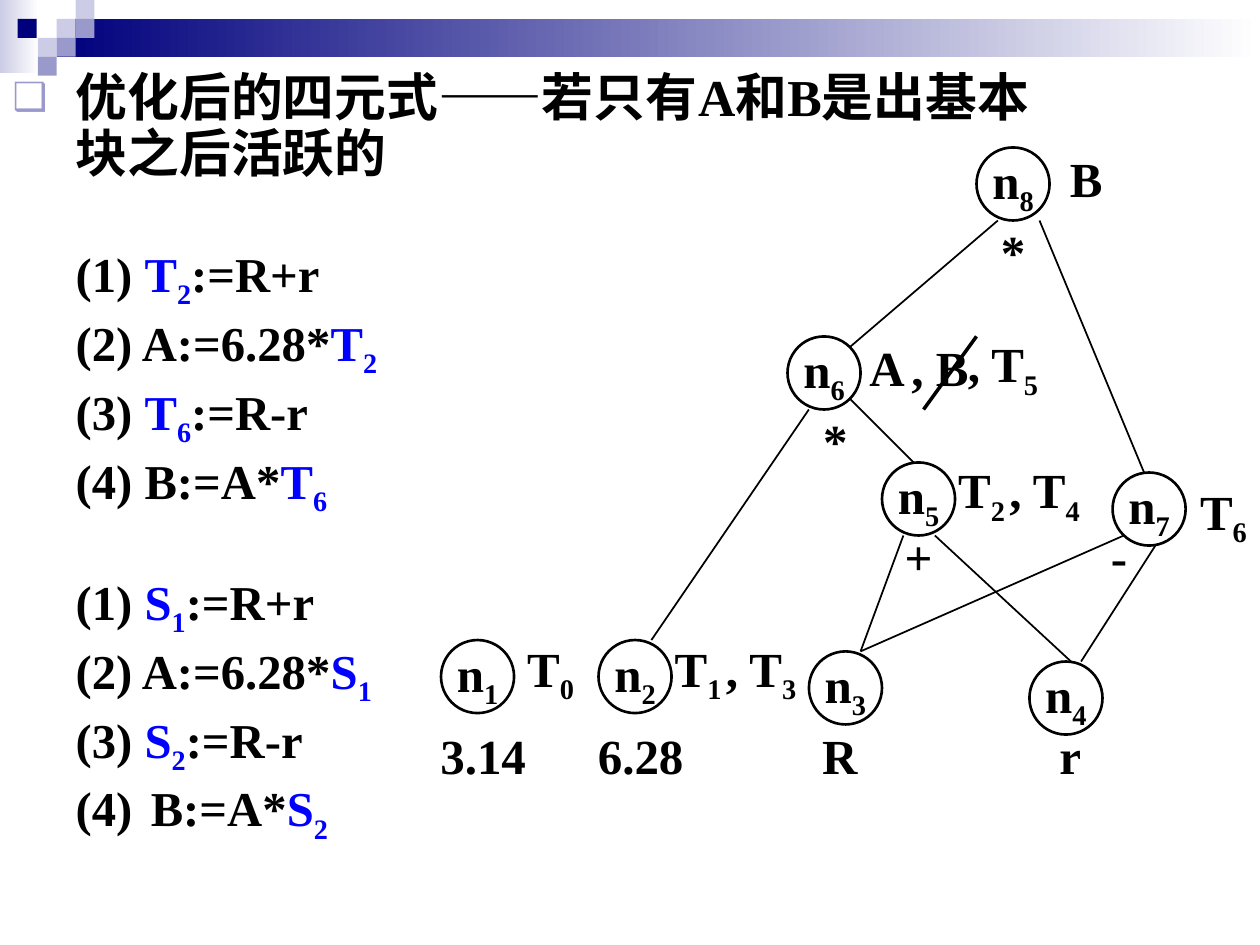
from itertools import cycle
from lxml import etree
from pptx import Presentation
from pptx.dml.color import RGBColor
from pptx.enum.shapes import MSO_CONNECTOR, MSO_SHAPE
from pptx.enum.text import MSO_ANCHOR, MSO_AUTO_SIZE, PP_ALIGN
from pptx.oxml.ns import qn
from pptx.util import Inches, Pt

RECT = MSO_SHAPE.RECTANGLE
OVAL = MSO_SHAPE.OVAL
LINE = MSO_CONNECTOR.STRAIGHT
MIDDLE = MSO_ANCHOR.MIDDLE
TOP = MSO_ANCHOR.TOP
CENTER = PP_ALIGN.CENTER
LEFT = PP_ALIGN.LEFT
FIXED = MSO_AUTO_SIZE.NONE

HEX = {"ink": "000000", "var": "0000FF", "navy": "00007D",
       "mid": "9999CC", "pale": "CCCCE6", "white": "FFFFFF"}
FONT = {"name": "Times New Roman", "bold": True}
LABEL = {"word_wrap": False, "vertical_anchor": MIDDLE, "auto_size": FIXED}
BODY = {"word_wrap": True, "vertical_anchor": TOP, "auto_size": FIXED}
PARA = {"alignment": LEFT, "line_spacing": 0.9}
PLAIN, VAR, SUB = ("ink", 0), ("var", 0), ("var", -25000)
LOW = ("ink", -25000)

TITLE = "优化后的四元式——若只有A和B是出基本块之后活跃的"
CODE = [
    ["(1) |T|2|:=R+r", "(2) A:=6.28*|T|2", "(3) |T|6|:=R-r", "(4) B:=A*|T|6"],
    ["(1) |S|1|:=R+r", "(2) A:=6.28*|S|1", "(3) |S|2|:=R-r", "(4)\t B:=A*|S|2"],
]
TILES = [(0.45, 0.15, "pale"), (0.6, 0, "pale"), (0.6, 0.15, "mid"),
         (0.3, 0.3, "pale"), (0.14, 0.15, "navy"), (0.45, 0.3, "mid"),
         (0.3, 0.45, "mid")]
NODES = [(3.5, 5.08), (4.75, 5.08), (6.42, 5.17), (8.17, 5.25),
         (7, 3.67), (6.25, 2.67), (8.83, 3.75), (7.75, 1.17)]
EDGES = [(7.17, 4.25, 6.83, 5.17), (7.42, 4.25, 8.5, 5.25),
         (6.42, 3.25, 5.17, 5.08), (6.75, 3.17, 7.25, 3.67),
         (6.83, 5.17, 8.92, 4.25), (8.58, 5.25, 9.17, 4.33),
         (7.92, 1.75, 6.75, 2.75), (8.25, 1.75, 9.08, 3.75)]
STRIKE = (7.75, 2.67, 7.33, 3.25)
LEAVES = [("3.14", 3.42, 5.83), ("6.28", 4.67, 5.83),
          ("R", 6.25, 5.83), ("r", 8.08, 5.83)]
SIGNS = [("+", 7.08, 4.25), ("*", 6.42, 3.33),
         ("-", 8.67, 4.25), ("*", 7.83, 1.83)]
NAMES = [("T|0", 4.08, 5.17), ("T|1", 5.25, 5.17), (", T|3", 5.75, 5.17),
         ("T|2", 7.5, 3.75), (", T|4", 8, 3.75),
         ("A", 6.75, 2.75), (", B", 7.17, 2.75), (", T|5", 7.67, 2.75),
         ("B", 8.33, 1.25), ("T|6", 9.42, 3.92)]


def rgb(key):
    return RGBColor.from_string(HEX[key])


def apply(obj, fmt):
    for key, val in fmt.items():
        setattr(obj, key, val)


def write(para, text, size, looks):
    for part, (hue, base) in zip(text.split("|"), cycle(looks)):
        run = para.add_run()
        run.text = part
        apply(run.font, {**FONT, "size": Pt(size)})
        run.font.color.rgb = rgb(hue)
        if base:
            run._r.get_or_add_rPr().set("baseline", str(base))


def block(slide, x, y, w, h, hue, fade=False):
    shape = slide.shapes.add_shape(RECT, *map(Inches, (x, y, w, h)))
    shape.shadow.inherit = False
    shape.line.fill.background()
    if fade:
        shape.fill.gradient()
        shape.fill.gradient_angle = 0
        for stop, key in zip(shape.fill.gradient_stops, (hue, "white")):
            stop.color.rgb = rgb(key)
    else:
        shape.fill.solid()
        shape.fill.fore_color.rgb = rgb(hue)


def center(shape, text):
    frame = shape.text_frame
    apply(frame, LABEL)
    para = frame.paragraphs[0]
    para.alignment = CENTER
    write(para, text, 28, (PLAIN, LOW))


def node(slide, num, x, y):
    shape = slide.shapes.add_shape(OVAL, *map(Inches, (x, y, 0.58, 0.58)))
    shape.shadow.inherit = False
    shape.fill.background()
    shape.line.color.rgb = rgb("ink")
    shape.line.width = Pt(1.5)
    center(shape, f"n|{num}")


def label(slide, text, x, y, w):
    center(slide.shapes.add_textbox(*map(Inches, (x, y, w, 0.33))), text)


def edge(slide, ends, width=1):
    line = slide.shapes.add_connector(LINE, *map(Inches, ends))
    line.line.color.rgb = rgb("ink")
    line.line.width = Pt(width)
    etree.SubElement(line._element.spPr, qn("a:effectLst"))


def indent(para, left, mark=None):
    props = para._p.get_or_add_pPr()
    props.set("marL", str(Inches(left)))
    props.set("indent", str(Inches(-0.5)))
    if mark:
        tint = etree.SubElement(props, qn("a:buClr"))
        etree.SubElement(tint, qn("a:srgbClr"), val=HEX["mid"])
        etree.SubElement(props, qn("a:buSzPct"), val="75000")
        etree.SubElement(props, qn("a:buChar"), char=mark)
    else:
        etree.SubElement(props, qn("a:buNone"))


def listing(slide):
    box = slide.placeholders[1]
    spot = {"left": 0, "top": 0.52, "width": 8.5, "height": 6.41}
    apply(box, {key: Inches(val) for key, val in spot.items()})
    frame = box.text_frame
    apply(frame, BODY)
    head = frame.paragraphs[0]
    indent(head, 0.5, "❑")
    apply(head, {**PARA, "space_before": Pt(0)})
    write(head, TITLE, 29.6, (PLAIN,))
    for group in CODE:
        for row, text in enumerate(group):
            para = frame.add_paragraph()
            para.level = 1
            indent(para, 1)
            apply(para, {**PARA, "space_before": Pt(5.2 if row else 35)})
            write(para, text, 27.8, (PLAIN, VAR, SUB))


def main():
    deck = Presentation()
    apply(deck, {"slide_width": Inches(10), "slide_height": Inches(7.5)})
    slide = deck.slides.add_slide(deck.slide_layouts[1])
    title = slide.shapes.title._element
    title.getparent().remove(title)
    block(slide, 0, 0, 0.31, 0.58, "pale", True)
    block(slide, 0.45, 0.15, 9.55, 0.3, "navy", True)
    for x, y, hue in TILES:
        block(slide, x, y, 0.15, 0.15, hue)
    listing(slide)
    for num, (x, y) in enumerate(NODES, 1):
        node(slide, num, x, y)
    for ends in EDGES:
        edge(slide, ends)
    edge(slide, STRIKE, 2)
    for items, width in ((LEAVES, 0.83), (SIGNS, 0.42), (NAMES, 0.58)):
        for text, x, y in items:
            label(slide, text, x, y, width)
    deck.save("out.pptx")


if __name__ == "__main__":
    main()
